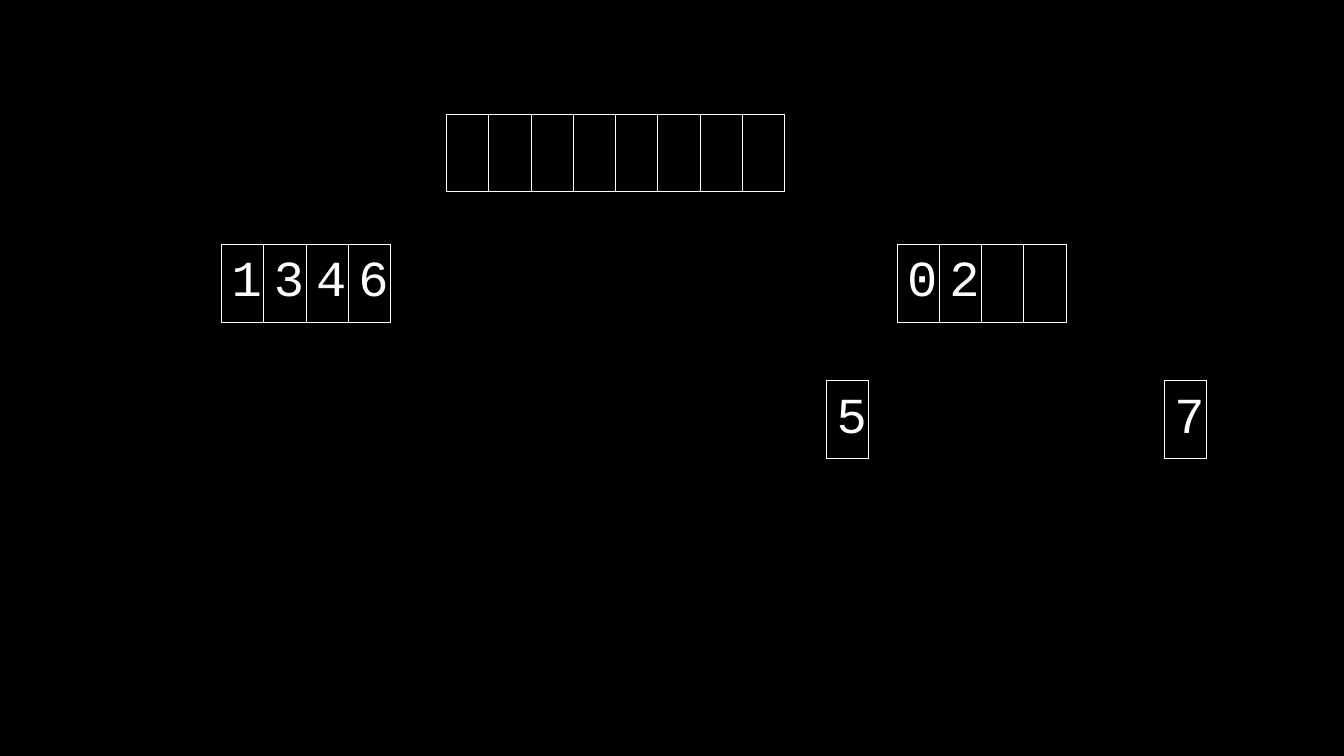
from pptx import Presentation
from pptx.dml import color
from pptx.enum import text
from pptx.oxml import parse_xml
from pptx.oxml import ns
from pptx.util import Pt

BLACK, WHITE = "000000", "FFFFFF"
CELL_W, CELL_H = 30.17, 55.5
INSET = 7.2
SIDES = "LRTB"


def rgb(value):
    return color.RGBColor.from_string(value)


def set_borders(cell, visible):
    """Draw the named sides in white and hide the others."""
    props = cell._tc.get_or_add_tcPr()
    for i, side in enumerate(SIDES):
        if side in visible:
            paint = f'<a:solidFill><a:srgbClr val="{WHITE}"/></a:solidFill>'
        else:
            paint = "<a:noFill/>"
        line = f'<a:ln{side} {ns.nsdecls("a")} w="{Pt(0.75)}">{paint}</a:ln{side}>'
        props.insert(i, parse_xml(line))


def write_digit(cell, digit):
    cell.margin_left = cell.margin_right = Pt(INSET)
    cell.margin_top = cell.margin_bottom = Pt(INSET)
    cell.vertical_anchor = text.MSO_ANCHOR.MIDDLE
    p = cell.text_frame.paragraphs[0]
    p.text = digit
    p.alignment = text.PP_ALIGN.CENTER
    p.font.size = Pt(36)
    p.font.name = "Courier New"
    p.font.color.rgb = rgb(WHITE)


def add_array(s, left, top, digits, hidden=0):
    """Add a one-row array; the first `hidden` cells have no outline."""
    n = len(digits)
    frame = s.shapes.add_table(1, n, Pt(left), Pt(top), Pt(n * CELL_W), Pt(CELL_H))
    table = frame.table
    table.first_row = table.horz_banding = False
    for i, digit in enumerate(digits):
        table.columns[i].width = Pt(CELL_W)
        cell = table.cell(0, i)
        cell.fill.background()
        set_borders(cell, "R" if i < hidden else SIDES)
        if digit:
            write_digit(cell, digit)


def main():
    prs = Presentation()
    prs.slide_width, prs.slide_height = Pt(960), Pt(540)
    s = prs.slides.add_slide(prs.slide_layouts[6])
    s.background.fill.solid()
    s.background.fill.fore_color.rgb = rgb(BLACK)

    # Merge target
    add_array(s, 319, 81.5, [""] * 8)

    # Sorted left half and partly merged right half
    add_array(s, 158.3, 174.6, ["1", "3", "4", "6"])
    add_array(s, 640.8, 174.6, ["0", "2", "", ""])

    # Remaining items of the right half
    add_array(s, 560.2, 272, ["", "5"], hidden=1)
    add_array(s, 801.5, 272, ["", "7"], hidden=1)

    prs.save("out.pptx")


if __name__ == "__main__":
    main()
